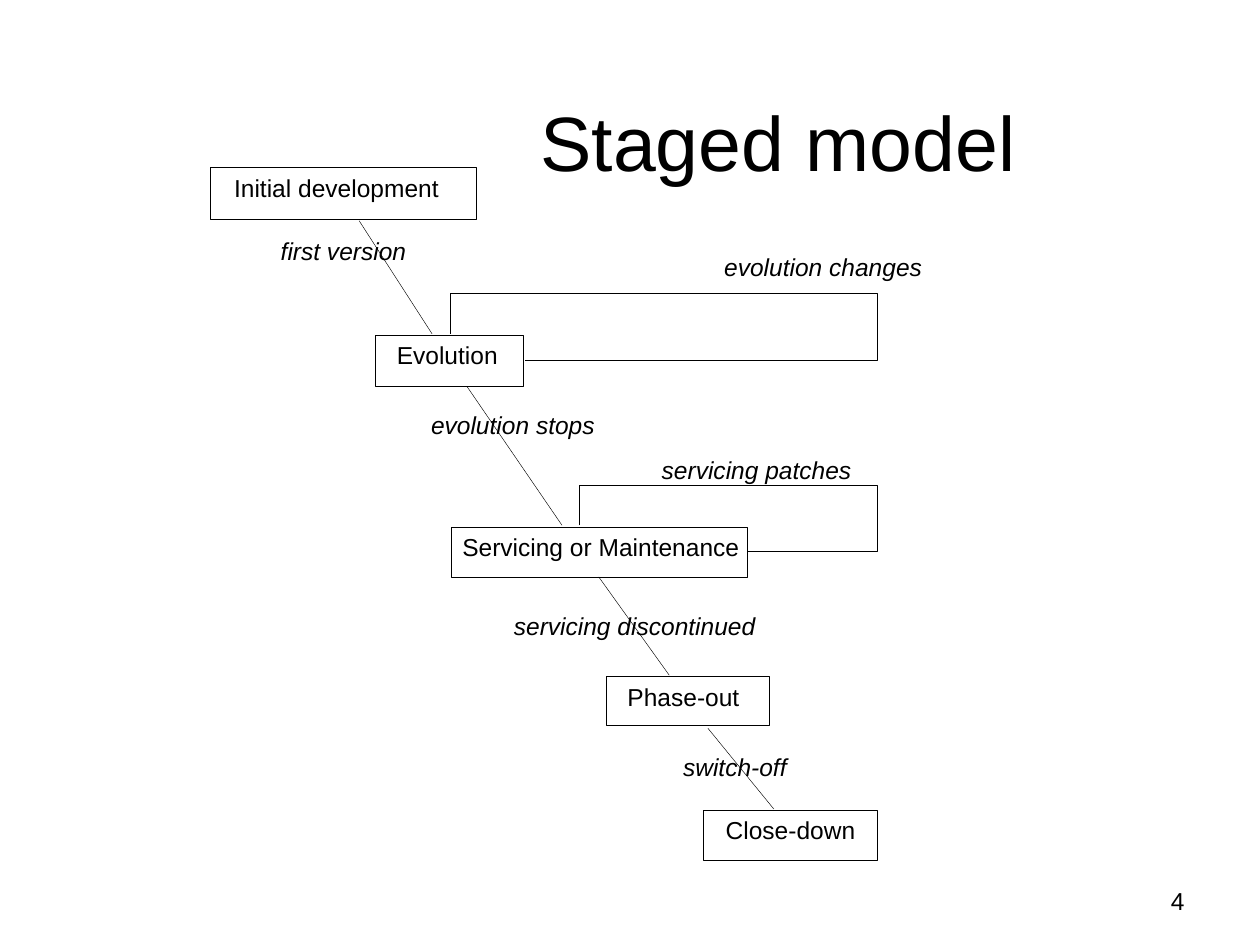
from dataclasses import dataclass

from lxml import etree
from pptx import Presentation
from pptx.dml.color import RGBColor
from pptx.enum.shapes import MSO_CONNECTOR, MSO_SHAPE
from pptx.enum.text import MSO_ANCHOR, PP_ALIGN
from pptx.oxml.ns import qn
from pptx.util import Cm, Pt

RECTANGLE = MSO_SHAPE.RECTANGLE
STRAIGHT = MSO_CONNECTOR.STRAIGHT
TOP, MIDDLE = MSO_ANCHOR.TOP, MSO_ANCHOR.MIDDLE
LEFT, CENTER, RIGHT = PP_ALIGN.LEFT, PP_ALIGN.CENTER, PP_ALIGN.RIGHT


@dataclass(frozen=True)
class Theme:
    font: str = "Arial"
    ink: RGBColor = RGBColor(0, 0, 0)
    paper: RGBColor = RGBColor(255, 255, 255)
    title_size: Pt = Pt(44)
    body_size: Pt = Pt(14)
    line_width: Pt = Pt(0.25)


THEME = Theme()


def write(frame, text, size=THEME.body_size, italic=False, align=LEFT,
          anchor=TOP, insets=(0, 0, 0, 0)):
    frame.word_wrap = True
    frame.vertical_anchor = anchor
    (frame.margin_left, frame.margin_top,
     frame.margin_right, frame.margin_bottom) = [Cm(inset) for inset in insets]
    paragraph = frame.paragraphs[0]
    paragraph.alignment = align
    run = paragraph.add_run()
    run.text = text
    run.font.name = THEME.font
    run.font.size = size
    run.font.italic = italic
    run.font.color.rgb = THEME.ink


def outline(line):
    line.color.rgb = THEME.ink
    line.width = THEME.line_width


prs = Presentation()
prs.slide_width, prs.slide_height = Cm(25.4), Cm(19.05)
slide = prs.slides.add_slide(prs.slide_layouts[6])
shapes = slide.shapes

# Title and slide number
title = shapes.add_textbox(Cm(8.36), Cm(1.24), Cm(15.09), Cm(3.18))
write(title.text_frame, "Staged model ", THEME.title_size, align=CENTER,
      anchor=MIDDLE, insets=(0.25, 0.13, 0.25, 0.13))
number = shapes.add_textbox(Cm(18.21), Cm(17.73), Cm(5.92), Cm(1.32))
write(number.text_frame, "4", align=RIGHT, insets=(0.25, 0.13, 0.25, 0.13))

# Loops that return to their own stage: start, top, right side, end
LOOP_RIGHT = 17.68
for start_x, start_y, top, end_x, end_y in [
    (9.07, 6.73, 5.92, 10.59, 7.26),
    (11.68, 10.59, 9.78, 15.06, 11.11),
]:
    builder = shapes.build_freeform(Cm(start_x), Cm(start_y))
    corners = [(start_x, top), (LOOP_RIGHT, top),
               (LOOP_RIGHT, end_y), (end_x, end_y)]
    builder.add_line_segments([(Cm(x), Cm(y)) for x, y in corners], close=False)
    loop = builder.convert_to_shape()
    loop.shadow.inherit = False
    loop.fill.background()
    outline(loop.line)

# Stages: left, top, width, height, indent of the name
for name, left, top, width, height, indent in [
    ("Initial development", 4.24, 3.38, 5.36, 1.04, 0.48),
    ("Evolution", 7.57, 6.76, 2.97, 1.02, 0.43),
    ("Servicing or Maintenance", 9.09, 10.62, 5.97, 1.02, 0.23),
    ("Phase-out", 12.22, 13.64, 3.28, 0.99, 0.43),
    ("Close-down", 14.17, 16.33, 3.51, 1.02, 0.46),
]:
    stage = shapes.add_shape(RECTANGLE, Cm(left), Cm(top), Cm(width), Cm(height))
    stage.shadow.inherit = False
    stage.fill.solid()
    stage.fill.fore_color.rgb = THEME.paper
    outline(stage.line)
    write(stage.text_frame, name, insets=(indent, 0.1, 0, 0))

# Transitions from stage to stage
for x1, y1, x2, y2 in [
    (7.24, 4.45, 8.71, 6.73),
    (9.42, 7.8, 11.33, 10.59),
    (12.07, 11.63, 13.49, 13.61),
    (14.27, 14.68, 15.6, 16.31),
]:
    transition = shapes.add_connector(STRAIGHT, Cm(x1), Cm(y1), Cm(x2), Cm(y2))
    outline(transition.line)
    etree.SubElement(transition._element.spPr, qn("a:effectLst"))

# Names of the transitions and loops, each wide enough for one line
for event, left, top, width in [
    ("first version", 5.66, 4.75, 2.8),
    ("evolution changes", 14.6, 5.08, 4.3),
    ("evolution stops", 8.69, 8.26, 3.7),
    ("servicing patches", 13.34, 9.17, 4.1),
    ("servicing discontinued", 10.36, 12.32, 5.2),
    ("switch-off", 13.77, 15.16, 2.4),
]:
    label = shapes.add_textbox(Cm(left), Cm(top), Cm(width), Cm(0.58))
    write(label.text_frame, event, italic=True)

prs.save("out.pptx")
